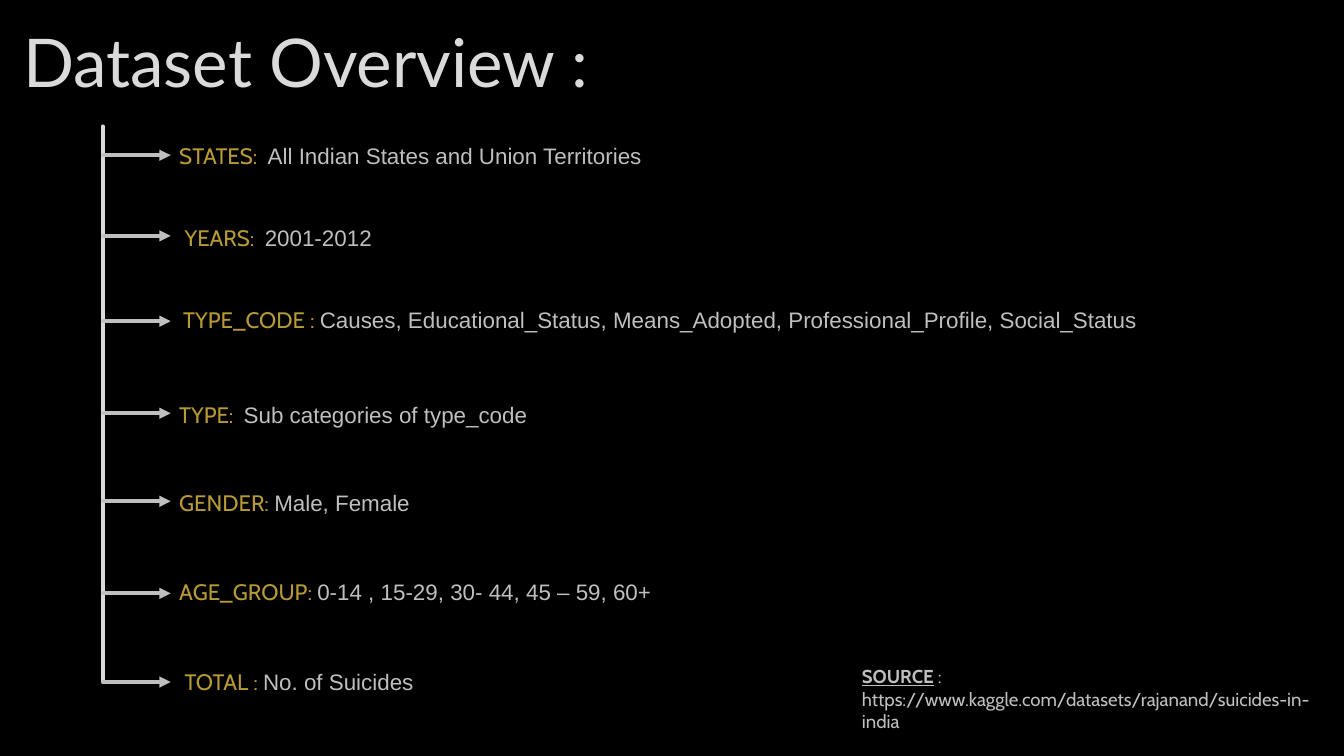
from dataclasses import dataclass
from lxml.etree import SubElement as Sub
from pptx import Presentation
from pptx.dml.color import RGBColor as Rgb
from pptx.enum.shapes import MSO_CONNECTOR as Link
from pptx.enum.text import MSO_ANCHOR as Anchor, MSO_AUTO_SIZE as Fit, PP_ALIGN as Align
from pptx.oxml.ns import qn
from pptx.util import Pt

SCALE = 4572


def px(n):
    return n * SCALE


@dataclass(frozen=True)
class Theme:
    back: str = "000000"
    head: str = "DADADA"
    spine: str = "D9D9D9"
    body: str = "BFBFBF"
    gold: str = "B79935"
    big: int = 36
    mid: int = 12
    small: int = 10
    line: int = 2


def write(para, text, font="Arial", size=12, color="BFBFBF", bold=False, under=False):
    run = para.add_run()
    run.text = text
    face = run.font
    face.name, face.size = font, Pt(size)
    face.bold, face.underline = bold, under
    face.color.rgb = Rgb.from_string(color)


class Deck:
    def __init__(self, theme):
        self.theme = theme
        self.file = Presentation()
        self.file.slide_width, self.file.slide_height = px(2000), px(1125)
        self.slide = self.file.slides.add_slide(self.file.slide_layouts[5])
        fill = self.slide.background.fill
        fill.solid()
        fill.fore_color.rgb = Rgb.from_string(theme.back)

    def frame(self, shape, right=20):
        box = shape.text_frame
        box.word_wrap = True
        box.auto_size = Fit.NONE
        box.margin_left = box.margin_top = box.margin_bottom = px(20)
        box.margin_right = px(right)
        return box

    def title(self, text, x, y, w, h):
        shape = self.slide.shapes.title
        shape.left, shape.top, shape.width, shape.height = map(px, (x, y, w, h))
        box = self.frame(shape)
        box.vertical_anchor = Anchor.BOTTOM
        para = box.paragraphs[0]
        para.alignment = Align.CENTER
        write(para, text, font="Lato", size=self.theme.big, color=self.theme.head)

    def text(self, x, y, w, h):
        shape = self.slide.shapes.add_textbox(*map(px, (x, y, w, h)))
        return self.frame(shape, right=0).paragraphs[0]

    def field(self, name, value, x, y, w):
        para = self.text(x, y, w, 86)
        write(para, name, font="Cabin", size=self.theme.mid, color=self.theme.gold)
        write(para, value, size=self.theme.mid, color=self.theme.body)

    def line(self, x1, y1, x2, y2, color, arrow=False):
        link = self.slide.shapes.add_connector(Link.STRAIGHT, *map(px, (x1, y1, x2, y2)))
        link.line.width = Pt(self.theme.line)
        link.line.color.rgb = Rgb.from_string(color)
        stroke = link.line._get_or_add_ln()
        stroke.set("cap", "rnd")
        if arrow:
            Sub(stroke, qn("a:tailEnd"), type="triangle")
        Sub(link._element.spPr, qn("a:effectLst"))


FIELDS = [
    ("STATES:  ", "All Indian States and Union Territories", 247, 191, 724, 231),
    ("YEARS:  ", "2001-2012", 255, 314, 724, 351),
    ("TYPE_CODE : ", "Causes, Educational_Status, Means_Adopted, "
     "Professional_Profile, Social_Status", 253, 436, 1602, 478),
    ("TYPE:  ", "Sub categories of type_code", 247, 577, 724, 615),
    ("GENDER: ", "Male, Female", 247, 708, 724, 746),
    ("AGE_GROUP: ", "0-14 , 15-29, 30- 44, 45 – 59, 60+", 247, 841, 724, 883),
    ("TOTAL : ", "No. of Suicides", 255, 974, 724, 1015),
]


def main():
    theme = Theme()
    deck = Deck(theme)
    deck.title("Dataset Overview :", 0, 22, 910, 148)
    deck.line(153, 188, 153, 1014, theme.spine)
    for name, value, x, y, w, mid in FIELDS:
        deck.line(153, mid, 254, mid, theme.body, arrow=True)
        deck.field(name, value, x, y, w)
    para = deck.text(1263, 970, 724, 90)
    look = dict(font="Cabin", size=theme.small, color=theme.body)
    write(para, "SOURCE", bold=True, under=True, **look)
    write(para, " : https://www.kaggle.com/datasets/rajanand/suicides-in-india", **look)
    deck.file.save("out.pptx")


if __name__ == "__main__":
    main()
